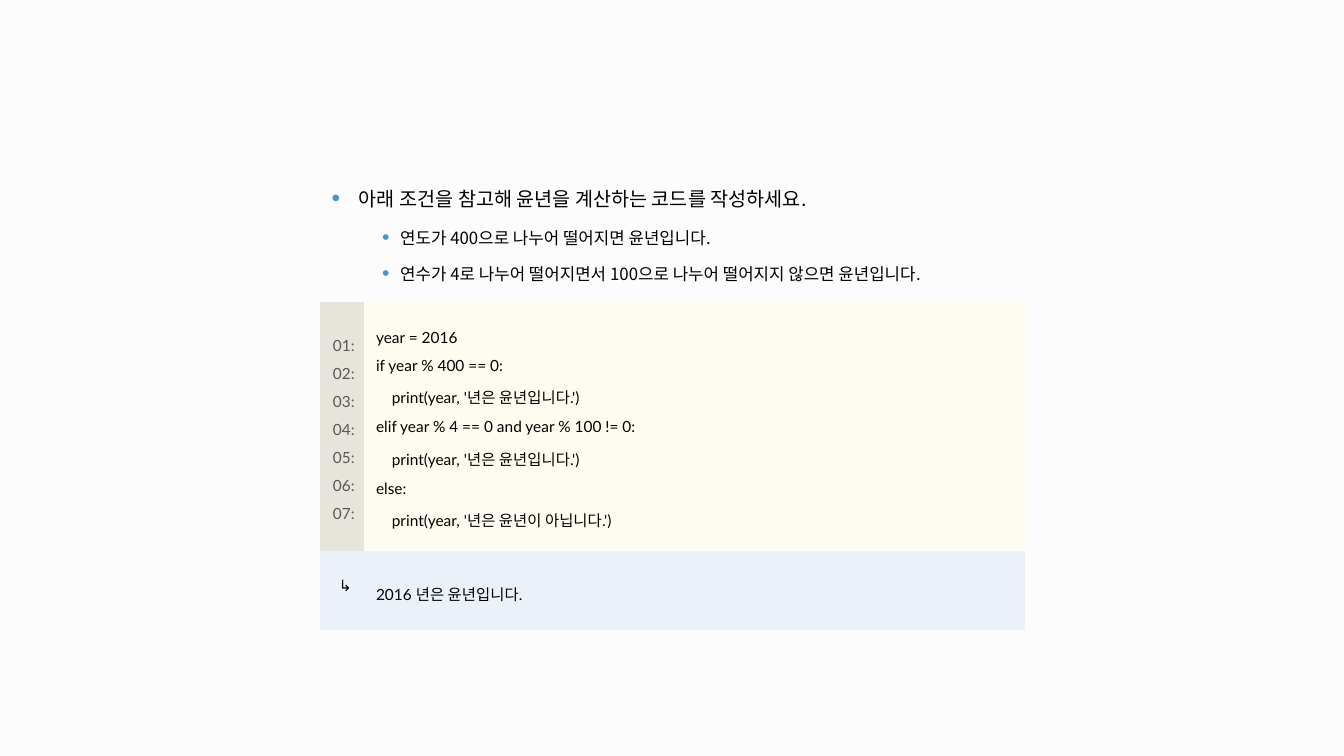
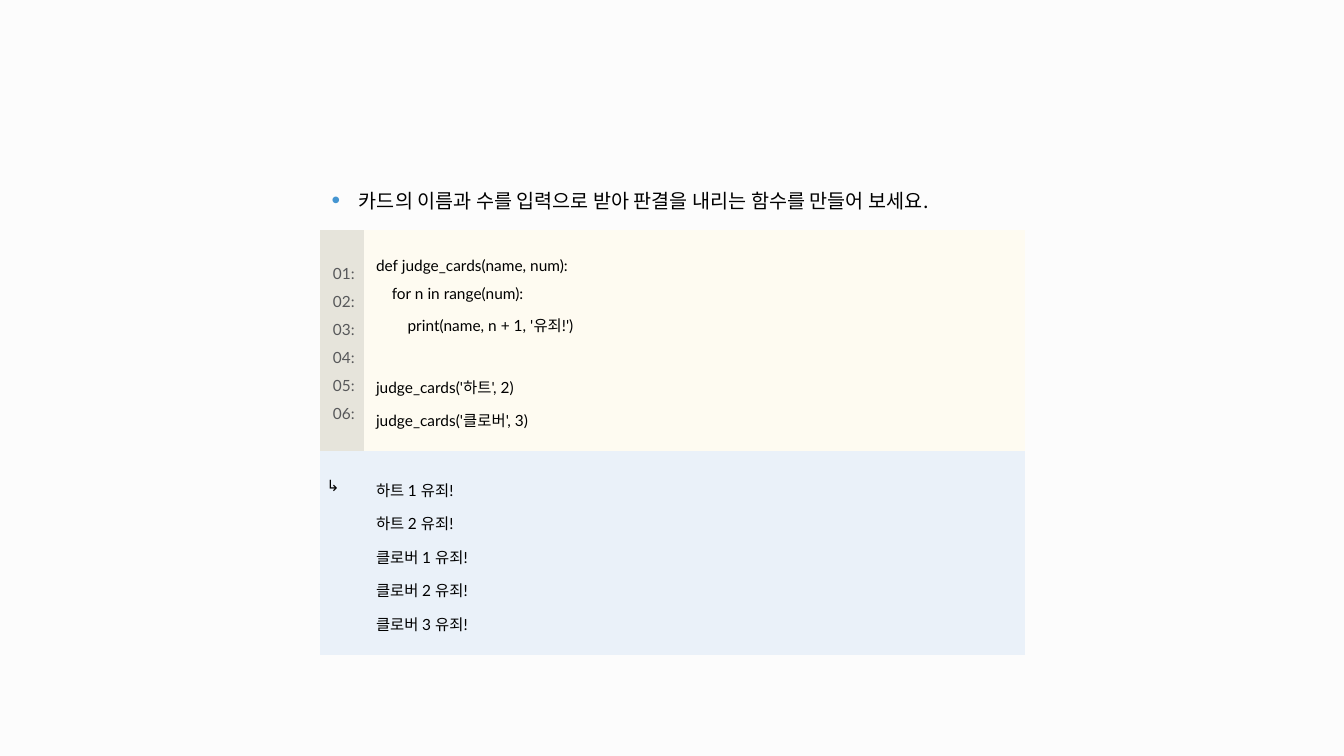
from lxml.etree import SubElement
from pptx import Presentation
from pptx.dml.color import RGBColor
from pptx.enum.text import MSO_ANCHOR as Anchor, PP_ALIGN as Align
from pptx.oxml.ns import qn
from pptx.util import Inches, Pt

COLORS = {
    "background": "FCFCFC",
    "text": "000000",
    "bullet": "4495D1",
    "line_number": "57585A",
    "gutter": "E6E4DB",
    "code": "FEFBF1",
    "output": "EAF1F9",
}
CODE_FONT = "Lato"
KOREAN_FONT = "Noto Sans CJK KR"
NO_GRID_STYLE = "{2D5ABB26-0587-4C30-8999-92F81FD0307C}"

# List formats by level: size, left indent, hanging indent
LIST_LEVELS = [(14, 0.27, 0.27), (12, 0.68, 0.18)]

EXERCISES = [
    {
        "top": 1.64,
        "row_heights": [1.36, 2.46, 0.78],
        "task": [
            (0, "아래 조건을 참고해 윤년을 계산하는 코드를 작성하세요."),
            (1, "연도가 400으로 나누어 떨어지면 윤년입니다."),
            (1, "연수가 4로 나누어 떨어지면서 100으로 나누어 떨어지지 않으면 윤년입니다."),
        ],
        "code": [
            "year = 2016",
            "if year % 400 == 0:",
            "    print(year, '년은 윤년입니다.')",
            "elif year % 4 == 0 and year % 100 != 0:",
            "    print(year, '년은 윤년입니다.')",
            "else:",
            "    print(year, '년은 윤년이 아닙니다.')",
        ],
        "output": ["2016 년은 윤년입니다."],
        "arrow_align": Align.CENTER,
    },
    {
        "top": 1.66,
        "row_heights": [0.62, 2.18, 2.02],
        "task": [(0, "카드의 이름과 수를 입력으로 받아 판결을 내리는 함수를 만들어 보세요.")],
        "code": [
            "def judge_cards(name, num):",
            "    for n in range(num):",
            "        print(name, n + 1, '유죄!')",
            "",
            "judge_cards('하트', 2)",
            "judge_cards('클로버', 3)",
        ],
        "output": [
            "하트 1 유죄!",
            "하트 2 유죄!",
            "클로버 1 유죄!",
            "클로버 2 유죄!",
            "클로버 3 유죄!",
        ],
        "arrow_align": Align.LEFT,
    },
]


def write_line(paragraph, text, size=11, font=CODE_FONT, color="text", align=Align.LEFT):
    """Write one line of text into a paragraph."""
    paragraph.alignment = align
    paragraph.line_spacing = 1.5
    if not text:  # an empty line of code keeps the height of the others
        end = SubElement(paragraph._p, qn("a:endParaRPr"), sz=str(size * 100))
        SubElement(end, qn("a:latin"), typeface=font)
        return
    run = paragraph.add_run()
    run.text = text
    run.font.size = Pt(size)
    run.font.color.rgb = RGBColor.from_string(COLORS[color])
    run.font.name = font
    SubElement(run._r.get_or_add_rPr(), qn("a:ea"), typeface=KOREAN_FONT)


def fill_cell(cell, lines, margins, fill=None, anchor=Anchor.MIDDLE, **line_format):
    """Fill a cell with lines; a line is a text or a (level, text) bullet."""
    cell.margin_left, cell.margin_top, cell.margin_right, cell.margin_bottom = map(Inches, margins)
    cell.vertical_anchor = anchor
    if fill:
        cell.fill.solid()
        cell.fill.fore_color.rgb = RGBColor.from_string(COLORS[fill])
    else:
        cell.fill.background()
    frame = cell.text_frame
    for index, line in enumerate(lines):
        paragraph = frame.add_paragraph() if index else frame.paragraphs[0]
        if isinstance(line, str):
            write_line(paragraph, line, **line_format)
            continue
        level, text = line
        size, indent, hanging = LIST_LEVELS[level]
        paragraph.level = level
        write_line(paragraph, text, size=size, font=KOREAN_FONT)
        properties = paragraph._p.get_or_add_pPr()
        properties.set("marL", str(Inches(indent)))
        properties.set("indent", str(-Inches(hanging)))
        bullet_color = SubElement(properties, qn("a:buClr"))
        SubElement(bullet_color, qn("a:srgbClr"), val=COLORS["bullet"])
        SubElement(properties, qn("a:buSzPct"), val="125000")
        SubElement(properties, qn("a:buFont"), typeface="Arial")
        SubElement(properties, qn("a:buChar"), char="•")


presentation = Presentation()
presentation.slide_width = Inches(13.33)
presentation.slide_height = Inches(7.5)
master_fill = presentation.slide_master.background.fill
master_fill.solid()
master_fill.fore_color.rgb = RGBColor.from_string(COLORS["background"])

for exercise in EXERCISES:
    slide = presentation.slides.add_slide(presentation.slide_layouts[6])

    # Table grid
    heights = exercise["row_heights"]
    table = slide.shapes.add_table(
        3, 2, Inches(3.17), Inches(exercise["top"]), Inches(7), Inches(sum(heights))
    ).table
    table._tbl.tblPr.find(qn("a:tableStyleId")).text = NO_GRID_STYLE
    table.first_row = table.horz_banding = False
    for column, width in zip(table.columns, [0.44, 6.56]):
        column.width = Inches(width)
    for row, height in zip(table.rows, heights):
        row.height = Inches(height)

    # Task
    table.cell(0, 0).merge(table.cell(0, 1))
    fill_cell(table.cell(0, 0), exercise["task"], (0.12, 0.04, 0, 0.16))

    # Line numbers and code
    code = exercise["code"]
    numbers = [f"{number:02}:" for number in range(1, len(code) + 1)]
    fill_cell(table.cell(1, 0), numbers, (0.04, 0.04, 0, 0.08), "gutter",
              color="line_number", align=Align.CENTER)
    fill_cell(table.cell(1, 1), code, (0.12, 0.16, 0, 0.2), "code")

    # Output
    fill_cell(table.cell(2, 0), ["↳"], (0.07, 0.16, 0, 0.2), "output",
              anchor=Anchor.TOP, align=exercise["arrow_align"])
    fill_cell(table.cell(2, 1), exercise["output"], (0.12, 0.16, 0, 0.2), "output")

presentation.save("out.pptx")
